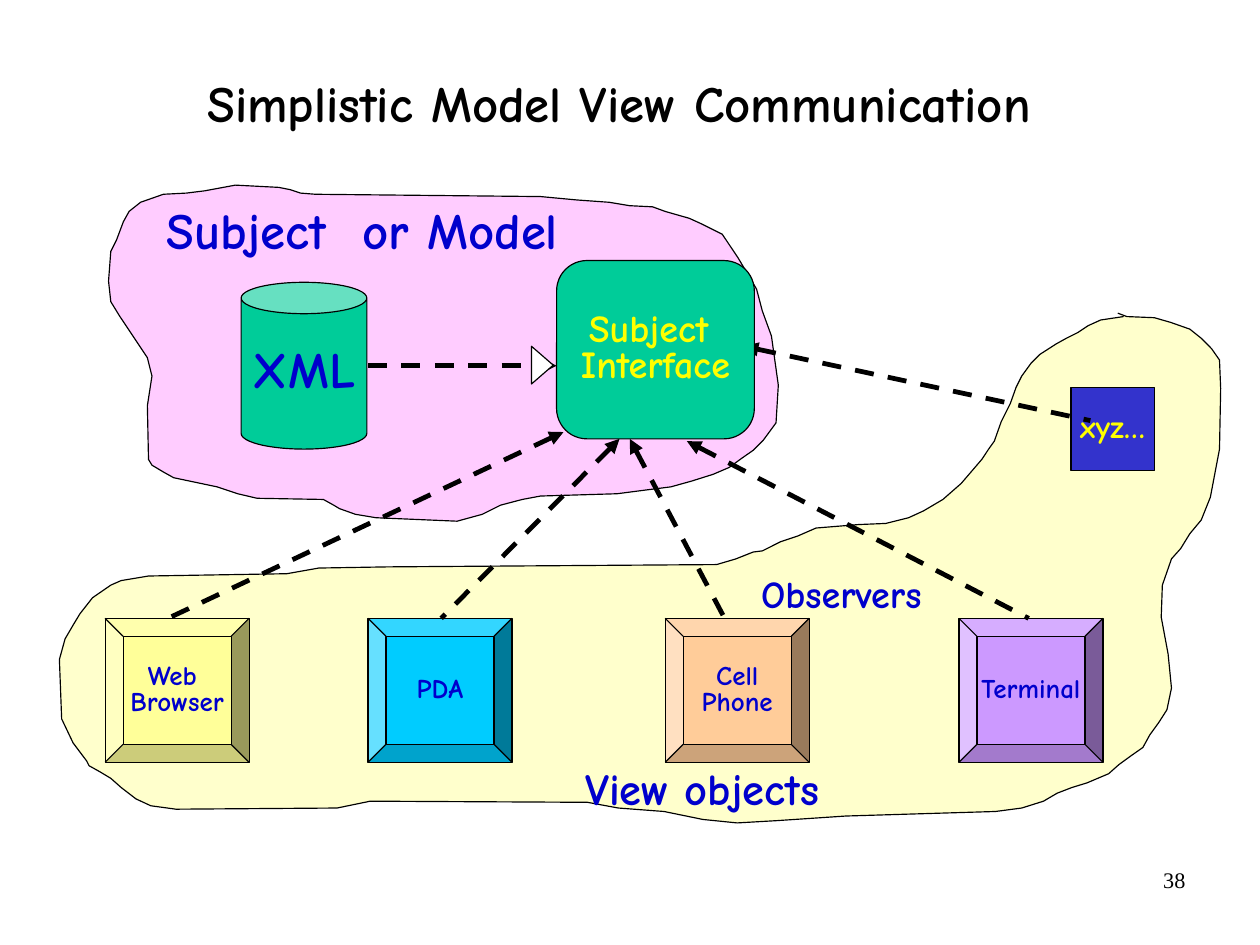
"""Build the slide on simplistic model view communication."""
from dataclasses import dataclass

from lxml import etree
from pptx import Presentation
from pptx.dml import color as c
from pptx.enum import dml, shapes as s, text as t
from pptx.oxml import ns
from pptx import util as u

Point = tuple[float, float]
Box = tuple[float, float, float, float]

BLACK, NAVY, YELLOW, GREEN = "000000", "0000CC", "FFFF00", "00CC99"
COMIC = "Comic Neue"
LABEL_MARGINS = (0.11, 0.06)
VIEW_TOP, VIEW_SIZE = 5.41, 1.26


@dataclass
class Label:
    lines: list[str]
    size: int
    color: str = NAVY
    font: str = COMIC
    bold: bool = True
    align: t.PP_ALIGN = t.PP_ALIGN.CENTER
    anchor: t.MSO_ANCHOR = t.MSO_ANCHOR.MIDDLE
    spacing: float = 0.8
    margins: Point = LABEL_MARGINS
    wrap: bool = False


@dataclass
class Block:
    kind: s.MSO_SHAPE
    box: Box
    fill: str
    label: Label | None = None
    adjustment: float | None = None
    rotation: int = 0


@dataclass
class Arrow:
    start: Point
    end: Point
    tip: str = "headEnd"


@dataclass
class Caption:
    box: Box
    label: Label


@dataclass
class Region:
    fill: str
    closed: bool
    points: list[Point]


def rgb(value: str) -> c.RGBColor:
    return c.RGBColor.from_string(value)


def inches(values: tuple[float, ...]) -> list[u.Length]:
    return [u.Inches(value) for value in values]


def set_all(target: object, values: dict[str, object]) -> None:
    for name, value in values.items():
        setattr(target, name, value)


def write(frame, label: Label) -> None:
    across, down = inches(label.margins)
    set_all(frame, {
        "word_wrap": label.wrap, "vertical_anchor": label.anchor,
        "auto_size": t.MSO_AUTO_SIZE.NONE,
        "margin_left": across, "margin_right": across,
        "margin_top": down, "margin_bottom": down,
    })
    for index, line in enumerate(label.lines):
        paragraph = frame.add_paragraph() if index else frame.paragraphs[0]
        set_all(paragraph, {
            "text": line, "alignment": label.align, "line_spacing": label.spacing,
            "space_before": u.Pt(0), "space_after": u.Pt(0),
        })
        for run in paragraph.runs:
            set_all(run.font, {"name": label.font, "size": u.Pt(label.size), "bold": label.bold})
            run.font.color.rgb = rgb(label.color)


def paint(shape, fill: str) -> None:
    shape.shadow.inherit = False
    shape.fill.solid()
    shape.fill.fore_color.rgb = rgb(fill)
    shape.line.color.rgb = rgb(BLACK)
    shape.line.width = u.Pt(0.75)


def draw_region(slide, region: Region) -> None:
    first, *rest = [inches(point) for point in region.points]
    builder = slide.shapes.build_freeform(*first)
    builder.add_line_segments(rest, close=region.closed)
    paint(builder.convert_to_shape(), region.fill)


def draw_block(slide, block: Block) -> None:
    shape = slide.shapes.add_shape(block.kind, *inches(block.box))
    paint(shape, block.fill)
    shape.rotation = block.rotation
    if block.adjustment is not None:
        shape.adjustments[0] = block.adjustment
    if block.label:
        write(shape.text_frame, block.label)


def draw_arrow(slide, arrow: Arrow) -> None:
    connector = slide.shapes.add_connector(
        s.MSO_CONNECTOR.STRAIGHT, *inches(arrow.start), *inches(arrow.end))
    connector.line.color.rgb = rgb(BLACK)
    set_all(connector.line, {"width": u.Pt(3), "dash_style": dml.MSO_LINE.DASH})
    properties = connector.element.spPr
    etree.SubElement(properties.find(ns.qn("a:ln")), ns.qn(f"a:{arrow.tip}"), type="triangle")
    etree.SubElement(properties, ns.qn("a:effectLst"))


def draw_caption(slide, caption: Caption) -> None:
    write(slide.shapes.add_textbox(*inches(caption.box)).text_frame, caption.label)


def heading(line: str, size: int, wrap: bool = True) -> Label:
    return Label([line], size, align=t.PP_ALIGN.LEFT, anchor=t.MSO_ANCHOR.TOP, wrap=wrap)


def view(left: float, fill: str, *lines: str) -> Block:
    return Block(s.MSO_SHAPE.BEVEL, (left, VIEW_TOP, VIEW_SIZE, VIEW_SIZE), fill,
                 Label(list(lines), 17), 0.125)


OBSERVER_REGION = Region("FFFFCC", False, [
    (9.83, 2.77), (9.63, 2.8), (9.52, 2.85), (9.43, 2.91), (9.33, 2.96), (9.24, 3.01),
    (9.1, 3.1), (9.02, 3.18), (8.94, 3.29), (8.89, 3.39), (8.84, 3.53), (8.76, 3.69),
    (8.7, 3.86), (8.65, 3.93), (8.59, 4.02), (8.41, 4.23), (8.25, 4.37), (8.08, 4.47),
    (7.95, 4.53), (7.75, 4.58), (7.51, 4.59), (7.14, 4.62), (6.98, 4.69), (6.83, 4.74),
    (6.67, 4.82), (6.59, 4.83), (6.44, 4.89), (6.27, 4.94), (3.4, 4.96), (2.79, 4.97),
    (2.51, 5.02), (1.3, 5.04), (1.06, 5.08), (0.97, 5.12), (0.81, 5.23), (0.7, 5.37),
    (0.64, 5.47), (0.57, 5.59), (0.52, 5.77), (0.54, 6.29), (0.64, 6.5), (0.76, 6.66),
    (0.78, 6.7), (0.87, 6.75), (0.97, 6.81), (1.06, 6.89), (1.19, 6.99), (1.32, 7.05),
    (1.54, 7.08), (2.95, 7.07), (3.24, 7.01), (5.14, 7.02), (5.41, 7.07), (5.81, 7.1),
    (6.15, 7.17), (6.45, 7.2), (6.8, 7.18), (7.4, 7.14), (8.71, 7.1), (8.94, 7.07),
    (9.13, 7.01), (9.25, 6.94), (9.38, 6.89), (9.51, 6.85), (9.7, 6.77), (9.79, 6.69),
    (9.9, 6.61), (10, 6.54), (10.06, 6.43), (10.14, 6.32), (10.21, 6.21), (10.25, 6.02),
    (10.22, 5.72), (10.16, 5.4), (10.17, 5.12), (10.25, 4.89), (10.33, 4.8), (10.41, 4.67),
    (10.51, 4.55), (10.59, 4.35), (10.67, 3.93), (10.68, 3.4), (10.67, 3.15), (10.6, 3.05),
    (10.51, 2.96), (10.41, 2.88), (10.24, 2.82), (10.1, 2.78), (9.86, 2.77), (9.78, 2.74)])

MODEL_REGION = Region("FFCCFF", True, [
    (2.83, 4.37), (2.25, 4.36), (2.08, 4.32), (1.9, 4.26), (1.52, 4.18), (1.43, 4.13),
    (1.33, 4.07), (1.3, 4.02), (1.29, 3.55), (1.33, 3.29), (1.29, 3.13), (1.13, 2.89),
    (1.05, 2.77), (0.97, 2.64), (0.95, 2.46), (0.97, 2.2), (1.02, 2.1), (1.08, 1.94),
    (1.13, 1.85), (1.23, 1.77), (1.43, 1.7), (1.63, 1.69), (1.79, 1.67), (2.06, 1.62),
    (2.44, 1.64), (2.54, 1.66), (2.63, 1.69), (2.76, 1.7), (4.73, 1.72), (5.05, 1.75),
    (5.33, 1.77), (5.51, 1.8), (5.71, 1.81), (5.82, 1.85), (6.03, 1.91), (6.14, 1.96),
    (6.32, 2.05), (6.46, 2.26), (6.62, 2.53), (6.67, 2.72), (6.75, 2.94), (6.81, 3.37),
    (6.79, 3.7), (6.68, 3.85), (6.59, 3.94), (6.49, 4.01), (6.38, 4.09), (6.24, 4.15),
    (6.05, 4.21), (5.87, 4.26), (5.63, 4.29), (5.4, 4.32), (4.73, 4.34), (4.57, 4.37),
    (4.38, 4.42), (4.22, 4.5), (4, 4.56), (3.29, 4.53), (3.11, 4.5), (2.97, 4.45),
    (2.92, 4.42)])

TITLE = Caption((0.46, 0.25, 9.92, 1.37), Label(
    ["Simplistic Model View Communication"], 32, BLACK, spacing=0.88, margins=(0, 0), wrap=True))

CONTENT = [
    Caption((7.9, 7.53, 2.57, 0.57), Label(
        ["38"], 14, BLACK, "Times New Roman", False, t.PP_ALIGN.RIGHT, t.MSO_ANCHOR.TOP,
        1.0, (0.1, 0.05), True)),
    OBSERVER_REGION,
    MODEL_REGION,
    Block(s.MSO_SHAPE.CAN, (2.11, 2.47, 1.1, 1.46), GREEN, Label(["XML"], 32), 0.25),
    view(0.92, "FFFF99", "Web ", "Browser"),
    view(3.22, "00CCFF", "PDA"),
    view(5.82, "FFCC99", "Cell", "Phone"),
    view(8.39, "CC99FF", "Terminal"),
    Arrow((4.93, 3.78), (1.47, VIEW_TOP)),
    Arrow((5.42, 3.84), (3.86, VIEW_TOP)),
    Arrow((5.51, 3.84), (6.34, VIEW_TOP)),
    Arrow((6.01, 3.86), (9, VIEW_TOP)),
    Caption((6.55, 5.01, 1.63, 0.43), heading("Observers", 24, False)),
    Caption((1.35, 1.78, 4.5, 0.54), heading("Subject  or Model", 32)),
    Block(s.MSO_SHAPE.RECTANGLE, (9.37, 3.39, 0.73, 0.73), "3333CC", Label(["xyz…"], 20, YELLOW)),
    Arrow((6.51, 3.03), (9.54, 3.68)),
    Block(s.MSO_SHAPE.ROUNDED_RECTANGLE, (4.87, 2.28, 1.73, 1.56), GREEN,
          Label(["Subject ", "Interface"], 24, YELLOW), 0.17),
    Arrow((3.22, 3.2), (4.87, 3.2), "tailEnd"),
    Caption((5.01, 6.69, 3.75, 0.48), heading("View objects", 28)),
    Block(s.MSO_SHAPE.ISOSCELES_TRIANGLE, (4.58, 3.1, 0.33, 0.19), "FFFFFF", rotation=90),
]

DRAWERS = {Region: draw_region, Block: draw_block, Arrow: draw_arrow, Caption: draw_caption}


def main() -> None:
    presentation = Presentation()
    presentation.slide_width = u.Cm(28)
    presentation.slide_height = u.Cm(21)
    slide = presentation.slides.add_slide(presentation.slide_layouts[5])
    title = slide.shapes.title
    set_all(title, dict(zip(("left", "top", "width", "height"), inches(TITLE.box))))
    write(title.text_frame, TITLE.label)
    for item in CONTENT:
        DRAWERS[type(item)](slide, item)
    presentation.save("out.pptx")


if __name__ == "__main__":
    main()
